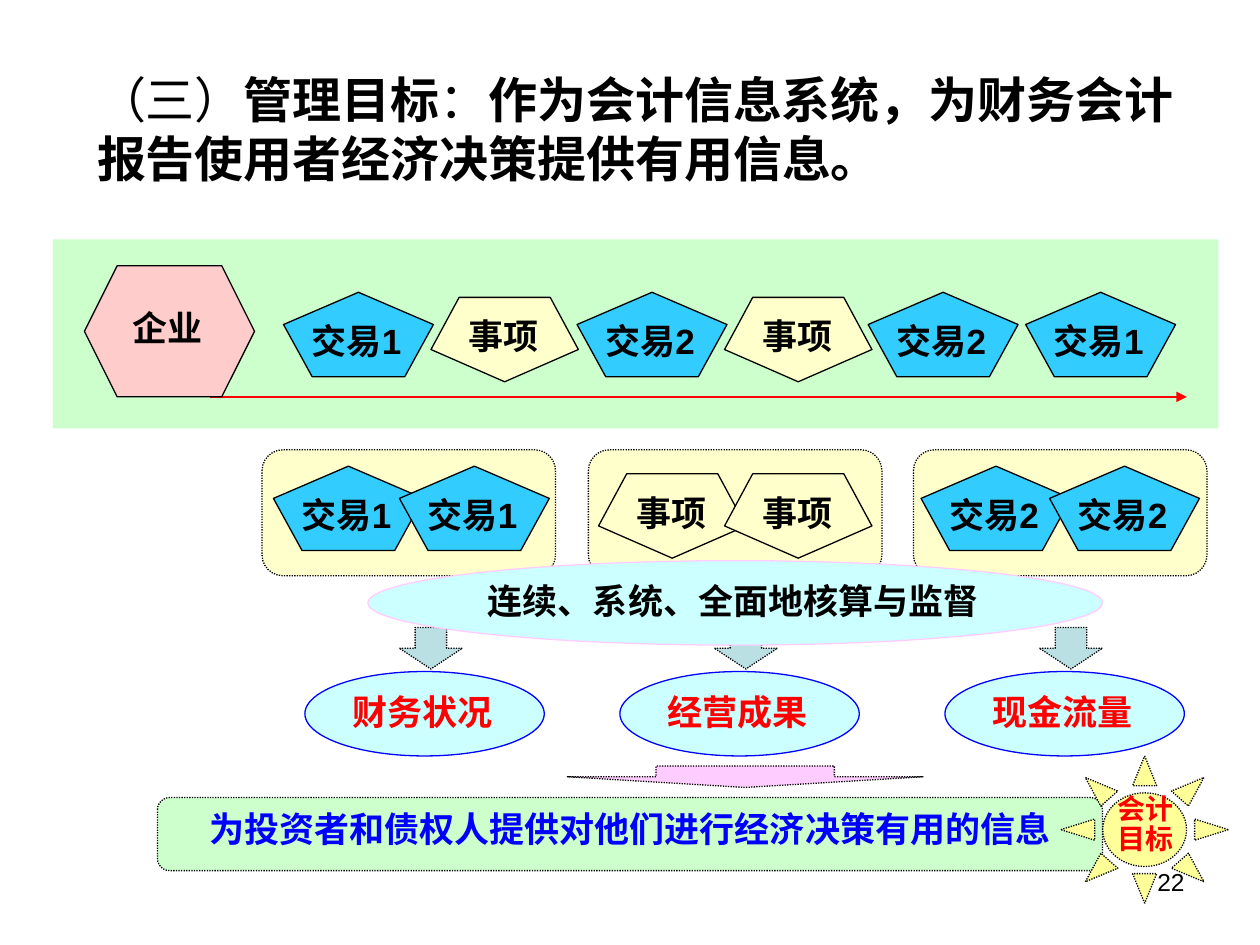
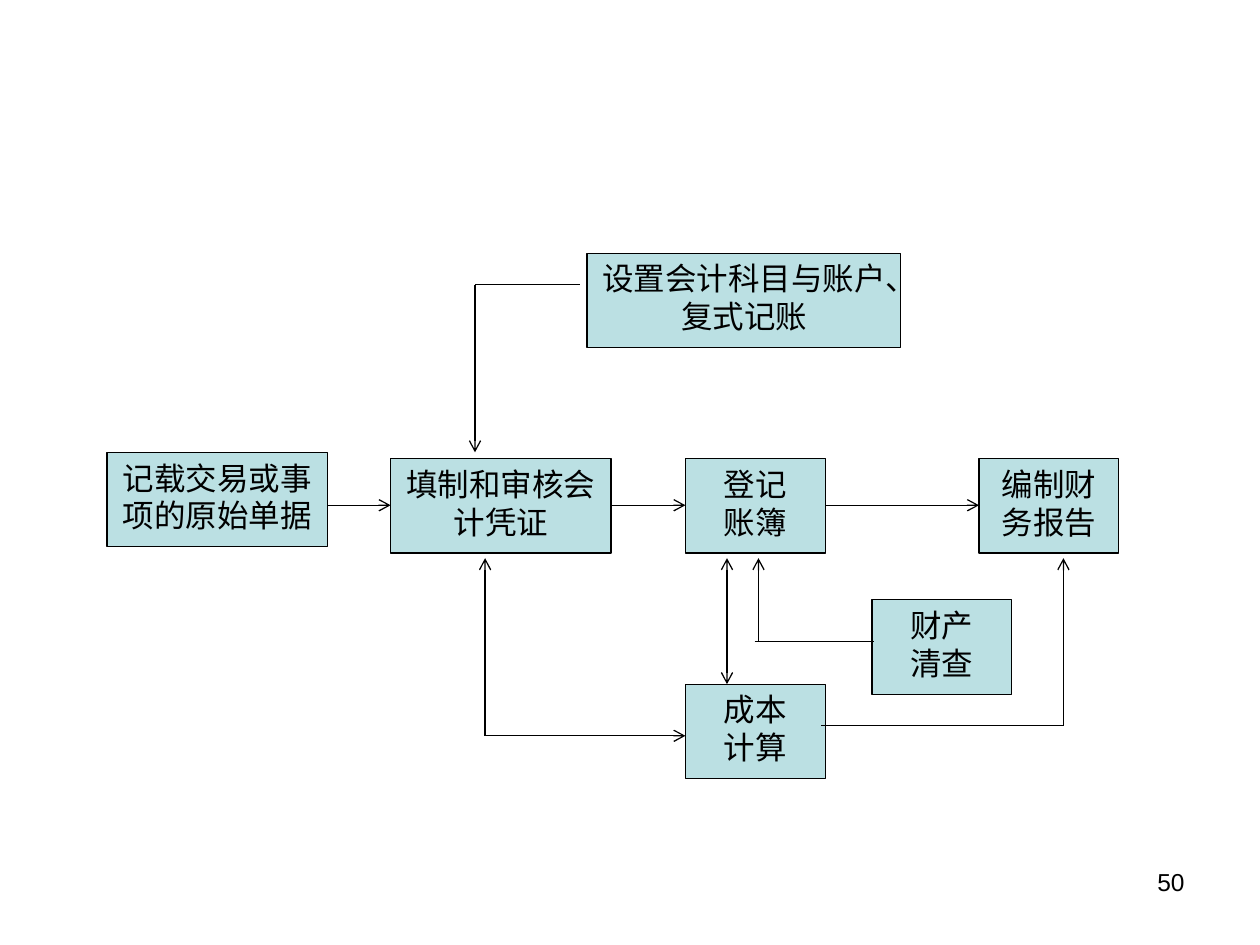
from dataclasses import dataclass
from typing import Optional

from lxml.etree import SubElement
from pptx import Presentation
from pptx.dml.color import RGBColor
from pptx.enum.dml import MSO_LINE as Dash
from pptx.enum.shapes import MSO_CONNECTOR as Wire
from pptx.enum.shapes import MSO_SHAPE as Kind
from pptx.enum.text import MSO_ANCHOR as Anchor
from pptx.enum.text import MSO_AUTO_SIZE as Fit
from pptx.enum.text import PP_ALIGN as Align
from pptx.oxml.ns import qn
from pptx.util import Inches, Pt

HUES = {
    "black": "000000", "red": "FF0000", "blue": "0000FF",
    "green": "CCFFCC", "cream": "FFFFCC", "sky": "33CCFF",
    "rose": "FFCCCC", "teal": "BBE0E3", "ice": "CCFFFF",
    "pink": "FFCCFF", "sun": "FFFF99",
}
SANS, SERIF = "Arial", "Times New Roman"


@dataclass
class Style:
    size: int = 20
    font: str = SANS
    hue: str = "black"
    bold: bool = True
    align: Align = Align.CENTER
    space: Optional[float] = None


@dataclass
class Box:
    kind: Kind
    left: float
    top: float
    width: float
    height: float
    fill: str
    edge: Optional[str] = "black"
    dots: bool = False
    turn: int = 0
    text: str = ""
    style: Optional[Style] = None


@dataclass
class Link:
    x1: float
    y1: float
    x2: float
    y2: float
    head: str = ""
    tail: str = "arrow"
    hue: str = "black"


LABEL = Style()
FIRM = Style(font=SERIF)
OVAL = Style(font=SERIF, align=Align.LEFT)
RESULT = Style(font=SERIF, hue="red", align=Align.LEFT)
USE = Style(hue="blue")
GOAL = Style(16, SERIF, "red", space=0.9)
STEP = Style(18, bold=False)
PAGE = Style(14, bold=False, align=Align.RIGHT)


def paint(name: str) -> RGBColor:
    return RGBColor.from_string(HUES[name])


def write(frame, text: str, style: Style) -> None:
    frame.word_wrap = True
    frame.vertical_anchor = Anchor.TOP
    for i, line in enumerate(text.split("\n")):
        para = frame.add_paragraph() if i else frame.paragraphs[0]
        para.text = line
        para.alignment = style.align
        if style.space:
            para.line_spacing = style.space
        font = para.font
        font.size, font.name, font.bold = Pt(style.size), style.font, style.bold
        font.color.rgb = paint(style.hue)


def label(slide, left: float, top: float, width: float, height: float,
          text: str, style: Style = LABEL) -> None:
    area = slide.shapes.add_textbox(*map(Inches, (left, top, width, height)))
    write(area.text_frame, text, style)


def draw(slide, box: Box) -> None:
    place = map(Inches, (box.left, box.top, box.width, box.height))
    shape = slide.shapes.add_shape(box.kind, *place)
    shape.shadow.inherit = False
    shape.rotation = box.turn
    shape.fill.solid()
    shape.fill.fore_color.rgb = paint(box.fill)
    if box.edge:
        shape.line.color.rgb = paint(box.edge)
        shape.line.width = Pt(0.75)
        if box.dots:
            shape.line.dash_style = Dash.ROUND_DOT
    else:
        shape.line.fill.background()
    if box.style:
        write(shape.text_frame, box.text, box.style)


def join(slide, link: Link) -> None:
    ends = map(Inches, (link.x1, link.y1, link.x2, link.y2))
    wire = slide.shapes.add_connector(Wire.STRAIGHT, *ends)
    wire.line.color.rgb = paint(link.hue)
    wire.line.width = Pt(0.75)
    line = wire.line._get_or_add_ln()
    for tag, end in (("a:headEnd", link.head), ("a:tailEnd", link.tail)):
        if end:
            SubElement(line, qn(tag), type=end)
    SubElement(wire._element.spPr, qn("a:effectLst"))


def trade(slide, left: float, top: float, number: int) -> None:
    draw(slide, Box(Kind.REGULAR_PENTAGON, left, top, 1.19, 0.67, "sky"))
    label(slide, left + 0.08, top + 0.17, 1, 0.5, f"交易{number}")


def event(slide, left: float, top: float) -> None:
    draw(slide, Box(Kind.REGULAR_PENTAGON, left, top, 1.17, 0.67, "cream", turn=180))
    label(slide, left + 0.08, top + 0.09, 1, 0.5, "事项")


def number(slide, page: int) -> None:
    label(slide, 7.17, 6.83, 2.33, 0.52, str(page), PAGE)


def head(slide) -> None:
    title = slide.shapes.title
    title.left, title.top, title.width, title.height = map(
        Inches, (0.67, 0.5, 8.82, 1.26))
    frame = title.text_frame
    write(frame, "", Style(28, align=Align.LEFT))
    frame.auto_size = Fit.NONE
    parts = (("（三）", False), ("管理目标", True), ("：", False),
             ("作为会计信息系统，为财务会计报告使用者经济决策提供有用信息。", True))
    for text, bold in parts:
        run = frame.paragraphs[0].add_run()
        run.text, run.font.bold = text, bold


def goals(deck) -> None:
    slide = deck.slides.add_slide(deck.slide_layouts[5])
    head(slide)

    draw(slide, Box(Kind.RECTANGLE, 0.42, 1.9, 9.25, 1.5, "green", None))
    join(slide, Link(1.67, 3.15, 9.42, 3.15, tail="triangle", hue="red"))
    for left in (3.42, 5.75):
        event(slide, left, 2.36)
    for left, num in ((2.25, 1), (4.58, 2), (6.89, 2), (8.14, 1)):
        trade(slide, left, 2.32, num)
    draw(slide, Box(Kind.HEXAGON, 0.67, 2.11, 1.35, 1.04, "rose"))
    label(slide, 0.83, 2.38, 1, 0.48, "企业", FIRM)

    for left in (2.08, 4.67, 7.25):
        draw(slide, Box(Kind.ROUNDED_RECTANGLE, left, 3.57, 2.33, 1,
                        "cream", dots=True))
    for left in (4.75, 5.75):
        event(slide, left, 3.76)
    for left, num in ((2.17, 1), (3.17, 1), (7.31, 2), (8.33, 2)):
        trade(slide, left, 3.7, num)

    for left in (3.17, 5.67, 8.25):
        draw(slide, Box(Kind.DOWN_ARROW, left, 4.98, 0.5, 0.33, "teal", dots=True))
    for left, text in ((2.42, "财务状况"), (4.92, "经营成果"), (7.5, "现金流量")):
        draw(slide, Box(Kind.OVAL, left, 5.33, 1.9, 0.67, "ice", "blue",
                        text=text, style=RESULT))
    draw(slide, Box(Kind.ROUNDED_RECTANGLE, 1.25, 6.33, 7.5, 0.58, "green", dots=True,
                    text="为投资者和债权人提供对他们进行经济决策有用的信息", style=USE))
    draw(slide, Box(Kind.OVAL, 2.92, 4.45, 5.83, 0.67, "ice", "pink",
                    text="连续、系统、全面地核算与监督", style=OVAL))
    draw(slide, Box(Kind.DOWN_ARROW, 4.5, 6.08, 2.83, 0.17, "pink", dots=True))
    draw(slide, Box(Kind.SUN, 8.42, 6, 1.33, 1.17, "sun", dots=True))
    label(slide, 8.76, 6.26, 0.66, 0.66, "会计目标", GOAL)
    number(slide, 22)


def flow(deck) -> None:
    slide = deck.slides.add_slide(deck.slide_layouts[6])
    number(slide, 50)
    steps = (
        (0.85, 3.59, 1.75, "记载交易或事项的原始单据"),
        (3.1, 3.64, 1.75, "填制和审核会计凭证"),
        (5.44, 3.64, 1.11, "登记\n账簿"),
        (7.77, 3.64, 1.11, "编制财务报告"),
        (4.66, 2.01, 2.49, "设置会计科目与账户、复式记账"),
        (5.44, 5.43, 1.11, "成本\n计算"),
        (6.92, 4.76, 1.11, "财产\n清查"),
    )
    for left, top, width, text in steps:
        draw(slide, Box(Kind.RECTANGLE, left, top, width, 0.75, "teal",
                        text=text, style=STEP))
    chain = steps[:4]
    for (left, _, width, _), (goal, *_) in zip(chain, chain[1:]):
        join(slide, Link(left + width, 4.01, goal, 4.01))
    links = (
        Link(4.6, 2.26, 3.77, 2.26, tail=""),
        Link(3.77, 2.26, 3.77, 3.59),
        Link(3.85, 5.84, 5.44, 5.84),
        Link(3.85, 5.84, 3.85, 4.43),
        Link(6.52, 5.76, 8.44, 5.76, tail=""),
        Link(8.44, 5.76, 8.44, 4.43),
        Link(5.99, 5.09, 6.94, 5.09, tail=""),
        Link(6.02, 5.09, 6.02, 4.43),
        Link(5.77, 4.43, 5.77, 5.43, head="arrow"),
    )
    for link in links:
        join(slide, link)


def main() -> None:
    deck = Presentation()
    deck.slide_width, deck.slide_height = Inches(10), Inches(7.5)
    goals(deck)
    flow(deck)
    deck.save("out.pptx")


if __name__ == "__main__":
    main()
